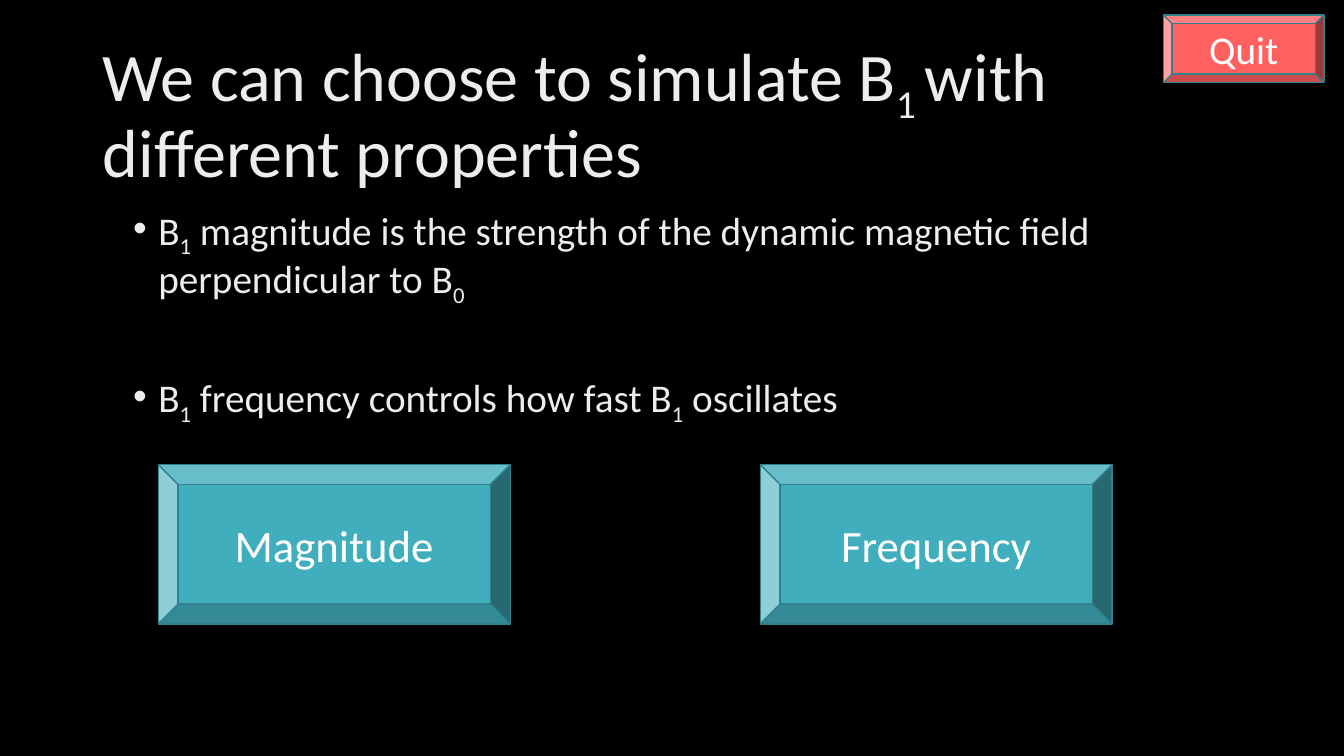
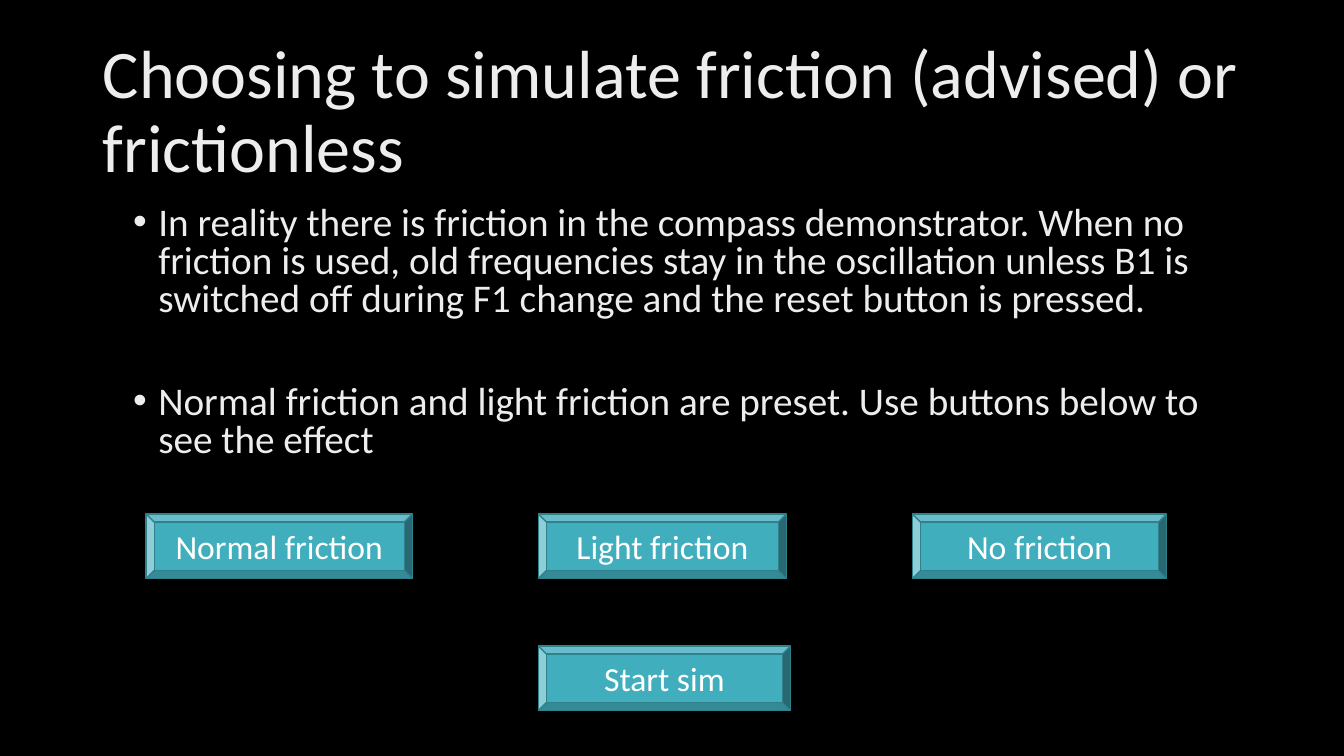
from pptx import Presentation
from pptx.dml.color import RGBColor
from pptx.enum.shapes import MSO_SHAPE
from pptx.enum.text import MSO_ANCHOR, MSO_AUTO_SIZE, PP_ALIGN
from pptx.util import Pt

BEVEL = MSO_SHAPE.BEVEL
TOP, MIDDLE = MSO_ANCHOR.TOP, MSO_ANCHOR.MIDDLE
LEFT, CENTER = PP_ALIGN.LEFT, PP_ALIGN.CENTER
NO_FIT = MSO_AUTO_SIZE.NONE

PX = 9144  # EMU per px, 100 px to the inch
FONT = "Calibri"
COLORS = {
    "background": "000000",
    "text": "EDEDED",
    "label": "FFFFFF",
    "teal": "41AEBD",
    "red": "FF6161",
    "edge": "30818C",
}
TITLE_BOX = (92, 40, 1150, 145)
BODY_BOX = (122, 200, 1119, 274)
TITLE_SIZE, BODY_SIZE = 48.6, 28
BULLET_INDENT = 25

# Content: in each text, every second part is a subscript.
# Buttons: label, box, font size, fill.
SLIDES = [
    {
        "title": ["We can choose to simulate B", "1 ", "with different properties"],
        "bullets": [
            ["B", "1", " magnitude is the strength of the dynamic magnetic field "
             "perpendicular to B", "0"],
            ["B", "1", " frequency controls how fast B", "1", " oscillates"],
        ],
        "line_spacing": 0.9,
        "bullet_gap": 51,
        "buttons": [
            ("Magnitude", (157, 461, 349, 158), 32, "teal"),
            ("Frequency", (754, 461, 349, 158), 32, "teal"),
            ("Quit", (1154, 15, 159, 67), 28, "red"),
        ],
    },
    {
        "title": ["Choosing to simulate friction (advised) or frictionless"],
        "bullets": [
            ["In reality there is friction in the compass demonstrator. When no "
             "friction is used, old frequencies stay in the oscillation unless B1 is "
             "switched off during F1 change and the reset button is pressed."],
            ["Normal friction and light friction are preset. Use buttons below to "
             "see the effect"],
        ],
        "line_spacing": 0.8,
        "bullet_gap": 47,
        "buttons": [
            ("Normal friction", (145, 510, 264, 64), 24, "teal"),
            ("Light friction", (534, 510, 246, 64), 24, "teal"),
            ("No friction", (905, 510, 252, 64), 24, "teal"),
            ("Start sim", (534, 641, 250, 64), 24, "teal"),
        ],
    },
]


def rgb(name):
    return RGBColor.from_string(COLORS[name])


def emu(box):
    return [v * PX for v in box]


def place(sp, box):
    sp.left, sp.top, sp.width, sp.height = emu(box)


def add_runs(p, parts, size, color):
    for i, text in enumerate(parts):
        r = p.add_run()
        r.text = text
        r.font.name = FONT
        r.font.size = Pt(size)
        r.font.color.rgb = rgb(color)
        if i % 2:
            r._r.get_or_add_rPr().set("baseline", "-25000")


def set_frame(sp, anchor):
    tf = sp.text_frame
    tf.word_wrap = True
    tf.auto_size = NO_FIT
    tf.vertical_anchor = anchor
    return tf


def fill_title(sp, parts):
    p = set_frame(sp, MIDDLE).paragraphs[0]
    p.alignment = LEFT
    p.line_spacing = 0.9
    add_runs(p, parts, TITLE_SIZE, "text")


def fill_body(sp, bullets, line_spacing, gap):
    tf = set_frame(sp, TOP)
    for i, parts in enumerate(bullets):
        p = tf.add_paragraph() if i else tf.paragraphs[0]
        pPr = p._p.get_or_add_pPr()
        pPr.set("marL", str(BULLET_INDENT * PX))
        pPr.set("indent", str(-BULLET_INDENT * PX))
        p.line_spacing = line_spacing
        p.space_before = Pt(gap if i else 0)
        add_runs(p, parts, BODY_SIZE, "text")


def add_button(s, label, box, size, fill):
    sp = s.shapes.add_shape(BEVEL, *emu(box))
    sp.shadow.inherit = False
    sp.fill.solid()
    sp.fill.fore_color.rgb = rgb(fill)
    sp.line.color.rgb = rgb("edge")
    sp.line.width = Pt(1)
    p = set_frame(sp, MIDDLE).paragraphs[0]
    p.alignment = CENTER
    add_runs(p, [label], size, "label")


def main():
    prs = Presentation()
    prs.slide_width, prs.slide_height = emu((1333, 750))

    # Shared layout: background and placeholder positions
    layout = prs.slide_layouts[1]
    layout.background.fill.solid()
    layout.background.fill.fore_color.rgb = rgb("background")
    for sp, box in zip(layout.placeholders, (TITLE_BOX, BODY_BOX)):
        place(sp, box)

    # Slides
    for content in SLIDES:
        s = prs.slides.add_slide(layout)
        fill_title(s.shapes.title, content["title"])
        fill_body(s.placeholders[1], content["bullets"],
                  content["line_spacing"], content["bullet_gap"])
        for button in content["buttons"]:
            add_button(s, *button)

    prs.save("out.pptx")


if __name__ == "__main__":
    main()
